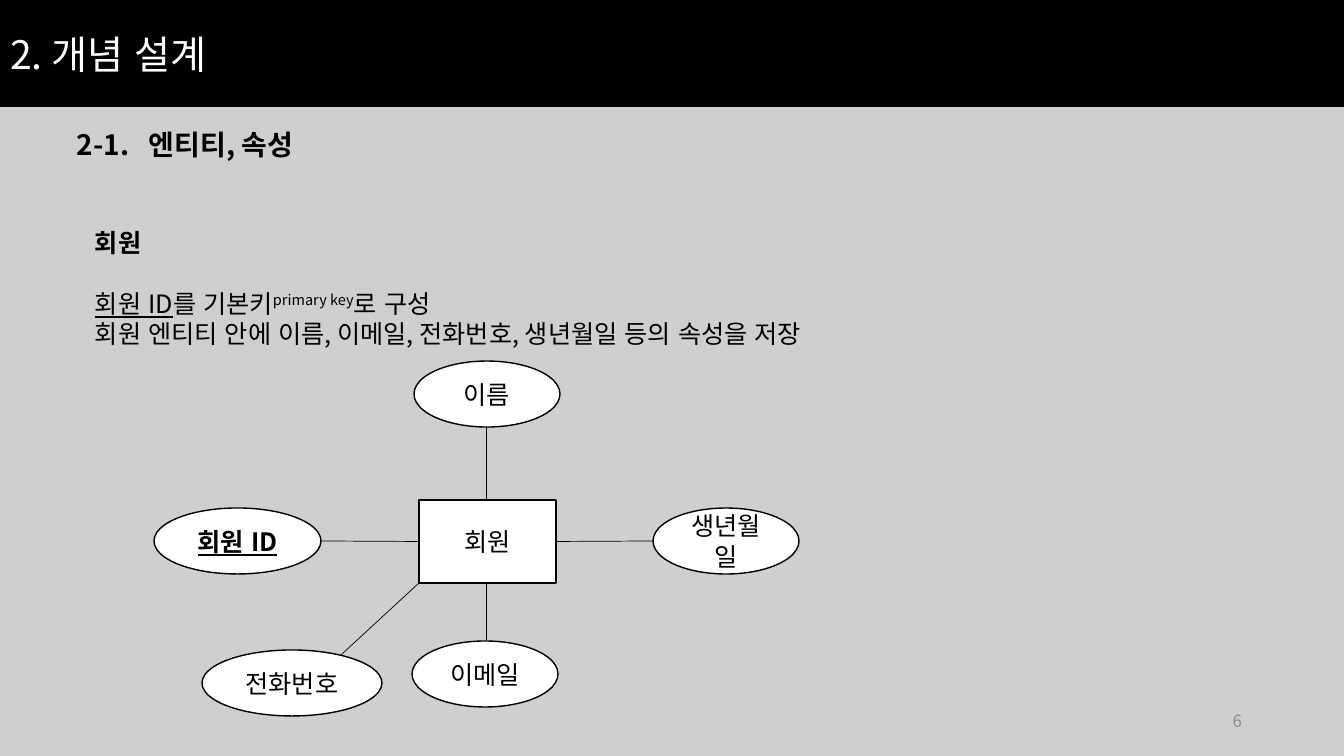
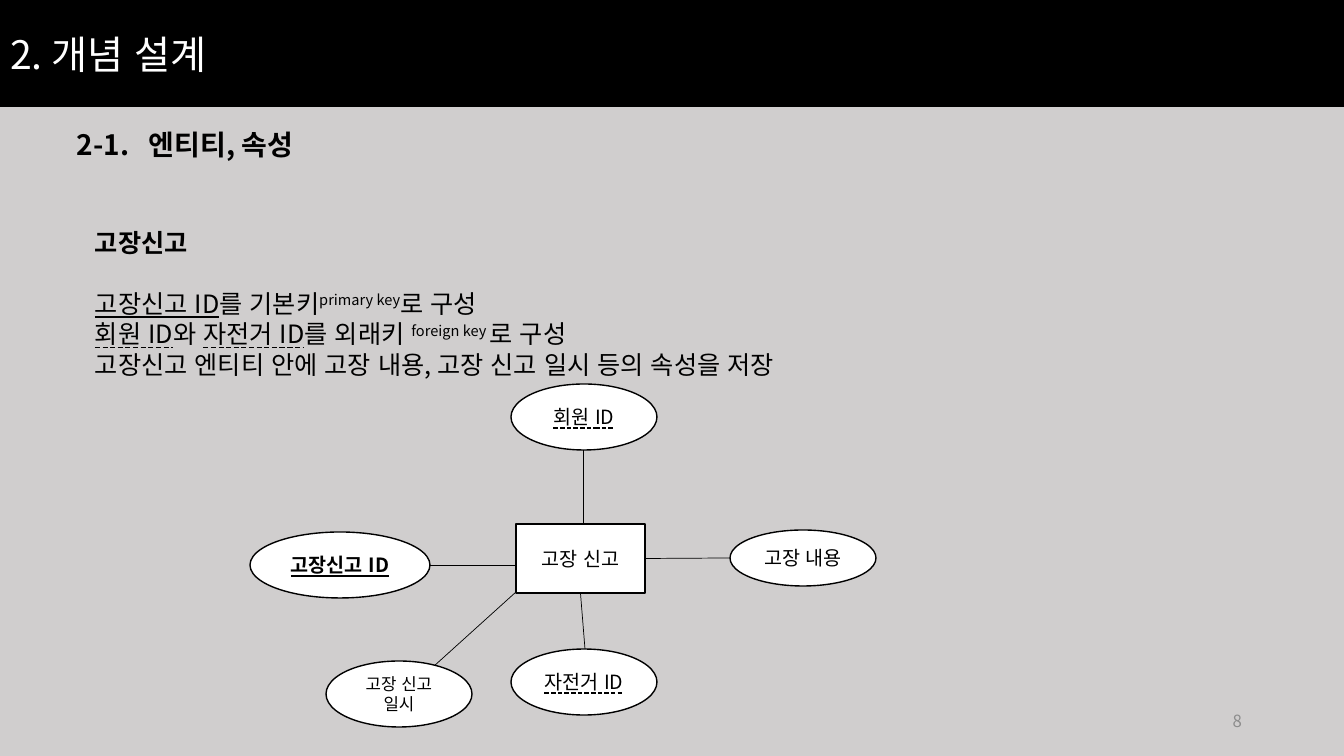
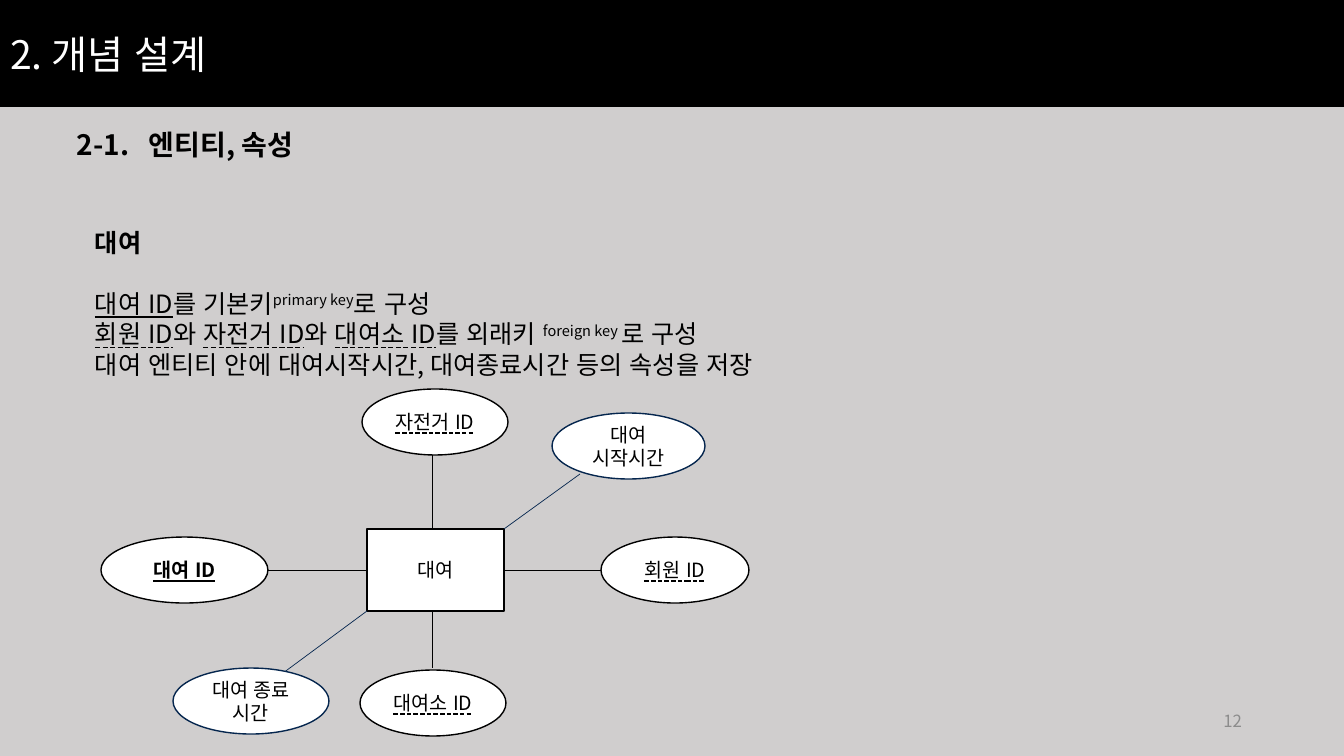
from lxml import etree
from pptx import Presentation
from pptx.dml.color import RGBColor
from pptx.enum.lang import MSO_LANGUAGE_ID
from pptx.enum.shapes import MSO_CONNECTOR, MSO_SHAPE
from pptx.enum.text import MSO_ANCHOR, MSO_UNDERLINE, PP_ALIGN
from pptx.oxml.ns import qn
from pptx.util import Emu, Pt

KOREAN = MSO_LANGUAGE_ID.KOREAN
STRAIGHT = MSO_CONNECTOR.STRAIGHT
RECT, OVAL = MSO_SHAPE.RECTANGLE, MSO_SHAPE.OVAL
TOP, MIDDLE = MSO_ANCHOR.TOP, MSO_ANCHOR.MIDDLE
LEFT, CENTER, RIGHT = PP_ALIGN.LEFT, PP_ALIGN.CENTER, PP_ALIGN.RIGHT
SOLID, DASH = MSO_UNDERLINE.SINGLE_LINE, MSO_UNDERLINE.DASH_LINE

WIDE, HIGH = 1344, 756
SCALE = 12192000 / WIDE
FONT = "Noto Sans CJK KR"
LEAD = 1.21
COLORS = {"back": "D0CECE", "black": "000000", "white": "FFFFFF",
          "navy": "05264E", "gray": "8C8C8C"}

# Content shared by the slides
TITLE = "2. 개념 설계"
HEAD = "2-1.\t엔티티, 속성"
HEAD_TAB = 72

# Run marks: pk and fk are underlined keys, up is raised text
PRIME = [("를 기본키", ""), ("primary key", "up"), ("로 구성", "")]
FOREIGN = [("를 외래키 ", ""), ("foreign key ", "up"), ("로 구성", "")]

# Nodes: text, mark, left, top, width, height, size, line colour
# Links: start on the entity, end at the node, line colour
SLIDES = [
    {
        "page": "6", "name": "회원",
        "lines": [
            [("회원 ID", "pk")] + PRIME,
            [("회원 엔티티 안에 이름, 이메일, 전화번호, 생년월일 등의 속성을 저장", "")],
        ],
        "box": ("회원", "", 419, 500, 137, 83, 18, "black"),
        "links": [
            (556, 541, 653, 541, "black"),
            (419, 541, 321, 541, "black"),
            (486, 583, 486, 640, "black"),
            (486, 500, 486, 419, "black"),
            (419, 583, 341, 655, "black"),
        ],
        "nodes": [
            ("회원 ID", "pk", 154, 508, 167, 66, 18, "black"),
            ("이름", "", 414, 361, 146, 66, 18, "black"),
            ("이메일", "", 412, 641, 146, 66, 18, "black"),
            ("생년월일", "", 653, 508, 146, 66, 18, "black"),
            ("전화번호", "", 202, 650, 180, 66, 18, "black"),
        ],
    },
    {
        "page": "8", "name": "고장신고",
        "lines": [
            [("고장신고 ID", "pk")] + PRIME,
            [("회원 ID", "fk"), ("와 ", ""), ("자전거 ID", "fk")] + FOREIGN,
            [("고장신고 엔티티 안에 고장 내용, 고장 신고 일시 등의 속성을 저장", "")],
        ],
        "box": ("고장 신고", "", 516, 524, 129, 69, 14, "black"),
        "links": [
            (645, 558, 730, 558, "black"),
            (516, 565, 417, 565, "black"),
            (581, 593, 585, 649, "black"),
            (583, 524, 583, 443, "black"),
            (516, 592, 433, 667, "black"),
        ],
        "nodes": [
            ("고장신고 ID", "pk", 250, 532, 180, 66, 14, "black"),
            ("회원 ID", "fk", 511, 384, 146, 66, 14, "black"),
            ("자전거 ID", "fk", 511, 649, 146, 66, 14, "black"),
            ("고장 내용", "", 730, 530, 146, 56, 14, "black"),
            ("고장 신고 일시", "", 326, 661, 146, 66, 12, "black"),
        ],
    },
    {
        "page": "12", "name": "대여",
        "lines": [
            [("대여 ID", "pk")] + PRIME,
            [("회원 ID", "fk"), ("와 ", ""), ("자전거 ID", "fk"), ("와 ", ""),
             ("대여소 ID", "fk")] + FOREIGN,
            [("대여 엔티티 안에 대여시작시간, 대여종료시간 등의 속성을 저장", "")],
        ],
        "box": ("대여", "", 367, 529, 137, 82, 14, "black"),
        "links": [
            (504, 570, 601, 570, "black"),
            (367, 570, 268, 570, "black"),
            (432, 611, 432, 668, "black"),
            (432, 529, 432, 448, "black"),
            (504, 529, 580, 474, "navy"),
            (367, 611, 275, 679, "navy"),
        ],
        "nodes": [
            ("대여 ID", "pk", 101, 537, 167, 66, 14, "black"),
            ("자전거 ID", "fk", 362, 389, 146, 66, 14, "black"),
            ("대여소 ID", "fk", 360, 670, 146, 66, 14, "black"),
            ("회원 ID", "fk", 601, 537, 148, 66, 14, "black"),
            ("대여 시작시간", "", 552, 413, 153, 66, 14, "navy"),
            ("대여 종료 시간", "", 173, 668, 156, 66, 14, "navy"),
        ],
    },
]


def px(num):
    return Emu(round(num * SCALE))


def rgb(name):
    return RGBColor.from_string(COLORS[name])


def style(para, size, color="black", bold=False, align=LEFT):
    para.alignment = align
    para.line_spacing = Pt(size * LEAD)
    font = para.font
    font.size, font.bold, font.name = Pt(size), bold, FONT
    font.color.rgb = rgb(color)
    font.language_id = KOREAN
    base = para._p.pPr.find(qn("a:defRPr"))
    etree.SubElement(base, qn("a:ea")).set("typeface", FONT)


def add_runs(para, parts):
    for text, mark in parts:
        run = para.add_run()
        run.text = text
        if mark in ("pk", "fk"):
            run.font.underline = SOLID if mark == "pk" else DASH
        elif mark == "up":
            run._r.get_or_add_rPr().set("baseline", "30000")


def add_text(slide, left, top, width, height, wrap=True, anchor=TOP):
    frame = slide.shapes.add_textbox(*map(px, (left, top, width, height))).text_frame
    frame.word_wrap = wrap
    frame.vertical_anchor = anchor
    return frame


def add_node(slide, kind, node):
    text, mark, left, top, width, height, size, color = node
    shape = slide.shapes.add_shape(kind, *map(px, (left, top, width, height)))
    shape.shadow.inherit = False
    shape.fill.solid()
    shape.fill.fore_color.rgb = rgb("white")
    shape.line.color.rgb = rgb(color)
    shape.line.width = Pt(1)
    shape.text_frame.vertical_anchor = MIDDLE
    para = shape.text_frame.paragraphs[0]
    style(para, size, bold=mark == "pk", align=CENTER)
    add_runs(para, [(text, mark)])
    return shape


def add_link(slide, box, rect, link):
    x, y, *end, color = link
    line = slide.shapes.add_connector(STRAIGHT, *map(px, (x, y, *end)))
    line.line.color.rgb = rgb(color)
    line.line.width = Pt(0.5)
    etree.SubElement(line._element.spPr, qn("a:effectLst"))
    # Join the start where it meets the middle of a side
    left, top, width, height = rect
    midx, midy = left + width / 2, top + height / 2
    sides = [(midx, top), (left, midy), (midx, top + height), (left + width, midy)]
    for site, (sx, sy) in enumerate(sides):
        if abs(sx - x) <= 1 and abs(sy - y) <= 1:
            line.begin_connect(box, site)


def add_frame(slide, page):
    # Title band
    title = slide.shapes.title
    title.left, title.top, title.width, title.height = map(px, (0, 0, WIDE, 107))
    title.fill.solid()
    title.fill.fore_color.rgb = rgb("black")
    title.text_frame.text = TITLE
    title.text_frame.vertical_anchor = MIDDLE
    style(title.text_frame.paragraphs[0], 28, "white")
    # Section heading
    para = add_text(slide, 67, 122, 261, 44, wrap=False).paragraphs[0]
    tabs = etree.SubElement(para._p.get_or_add_pPr(), qn("a:tabLst"))
    etree.SubElement(tabs, qn("a:tab"), pos=str(px(HEAD_TAB)), algn="l")
    style(para, 20, bold=True)
    para.add_run().text = HEAD
    # Page number
    para = add_text(slide, 950, 701, 302, 40, anchor=MIDDLE).paragraphs[0]
    style(para, 12, "gray", align=RIGHT)
    para.add_run().text = page


def add_body(slide, name, lines):
    frame = add_text(slide, 85, 222, 804, 132 + 31 * (len(lines) - 2))
    para = frame.paragraphs[0]
    style(para, 18, bold=True)
    para.add_run().text = name
    for num, parts in enumerate(lines):
        para = frame.add_paragraph()
        if num == 0:
            para.space_before = Pt(18 * LEAD)
        style(para, 18)
        add_runs(para, parts)


def main():
    prs = Presentation()
    prs.slide_width, prs.slide_height = px(WIDE), px(HIGH)
    back = prs.slide_master.background.fill
    back.solid()
    back.fore_color.rgb = rgb("back")
    for item in SLIDES:
        slide = prs.slides.add_slide(prs.slide_layouts[5])
        add_frame(slide, item["page"])
        add_body(slide, item["name"], item["lines"])
        box = add_node(slide, RECT, item["box"])
        for link in item["links"]:
            add_link(slide, box, item["box"][2:6], link)
        for node in item["nodes"]:
            add_node(slide, OVAL, node)
    prs.save("out.pptx")


if __name__ == "__main__":
    main()
